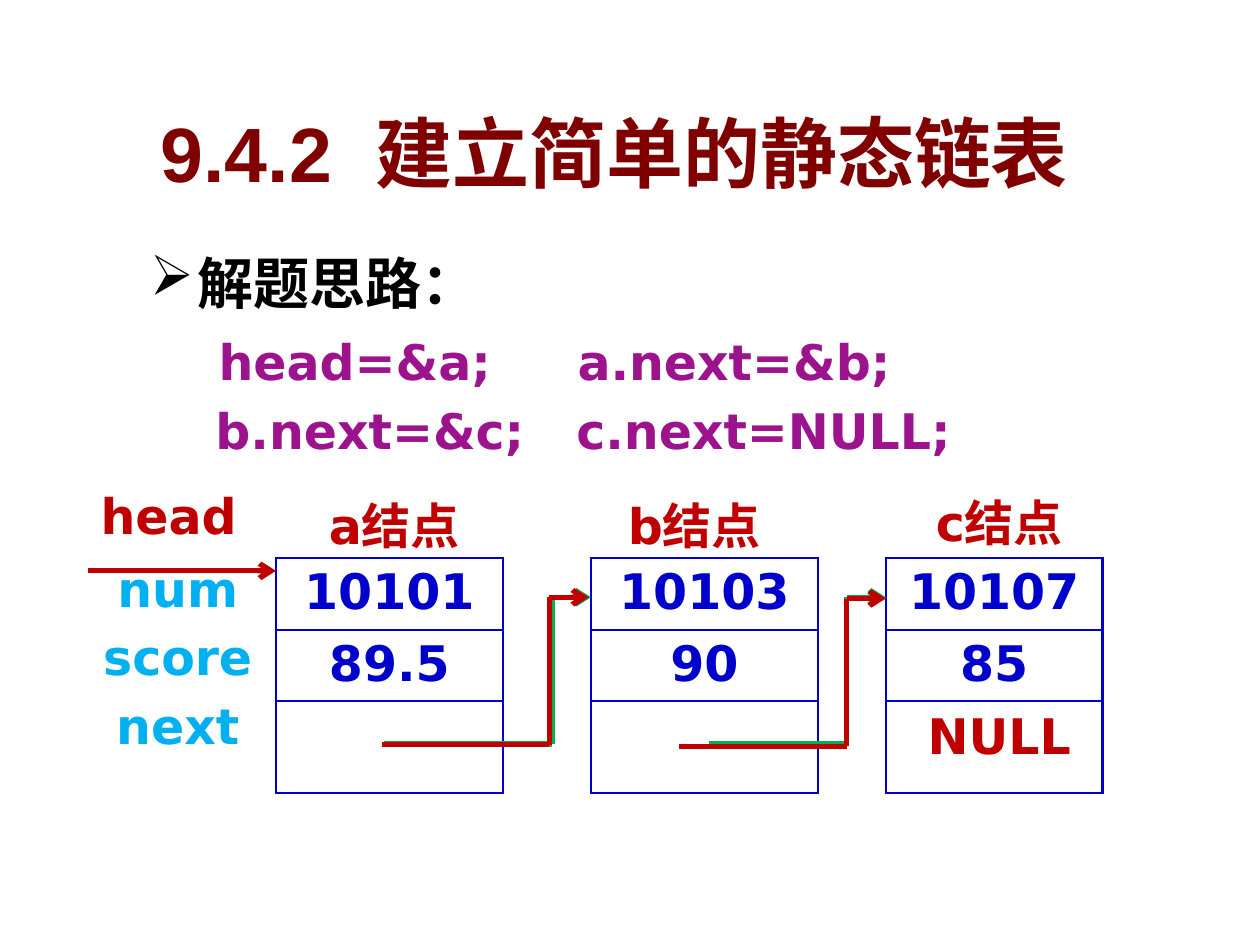
import pptx
import pptx.dml.color
import pptx.enum.shapes
import pptx.enum.text
import pptx.oxml
import pptx.oxml.ns
import pptx.util

Pt = pptx.util.Pt
RGB = pptx.dml.color.RGBColor
ALIGN = pptx.enum.text.PP_ALIGN
MAROON = RGB(0x80, 0x00, 0x00)
BLACK = RGB(0x00, 0x00, 0x00)
WHITE = RGB(0xFF, 0xFF, 0xFF)
BLUE = RGB(0x00, 0x00, 0xCC)
SKY = RGB(0x00, 0xB0, 0xF0)
RED = RGB(0xC0, 0x00, 0x00)
GREEN = RGB(0x00, 0xB0, 0x50)
PURPLE = RGB(0x9D, 0x13, 0x8D)
BODY_FONT = "DejaVu Sans"
ROW_HEIGHTS = (40.8, 40.8, 52.4)


def add_xml(parent, xml):
    ns = pptx.oxml.ns.nsdecls("a")
    el = pptx.oxml.parse_xml(xml.replace("/>", f" {ns}/>", 1) if xml.count("<") == 1
                             else xml.replace(">", f" {ns}>", 1))
    parent.append(el)


def format_text(tf, color, size=28, font=BODY_FONT, align=ALIGN.CENTER):
    for p in tf.paragraphs:
        p.alignment = align
        for r in p.runs:
            r.font.size = Pt(size)
            r.font.name = font
            r.font.bold = True
            r.font.color.rgb = color


def add_label(s, text, x, y, w, color, h=40.8, size=28, align=ALIGN.CENTER):
    tf = s.shapes.add_textbox(Pt(x), Pt(y), Pt(w), Pt(h)).text_frame
    tf.word_wrap = True
    tf.text = text
    format_text(tf, color, size, align=align)
    return tf


def add_line(s, x1, y1, x2, y2, color, arrow=False):
    line = s.shapes.add_connector(pptx.enum.shapes.MSO_CONNECTOR.STRAIGHT,
                                  Pt(x1), Pt(y1), Pt(x2), Pt(y2))
    line.line.color.rgb = color
    line.line.width = Pt(3)
    if arrow:
        add_xml(line.line._get_or_add_ln(), '<a:tailEnd type="arrow"/>')
    add_xml(line._element.spPr, "<a:effectLst/>")


def add_link(s, x, elbow, x_end, y, y_end, color):
    add_line(s, elbow, y_end, x_end, y_end, color, arrow=True)
    add_line(s, x, y, elbow, y, color)
    add_line(s, elbow, y, elbow, y_end, color)


def set_title(s, x, y, w, h):
    title = s.shapes.title
    title.left, title.top, title.width, title.height = Pt(x), Pt(y), Pt(w), Pt(h)
    tf = title.text_frame
    tf.text = "9.4.2  建立简单的静态链表"
    tf.vertical_anchor = pptx.enum.text.MSO_ANCHOR.MIDDLE
    format_text(tf, MAROON, 44, "Arial")
    rpr = tf.paragraphs[0].runs[0].font._element
    shadow = pptx.oxml.parse_xml(
        f'<a:effectLst {pptx.oxml.ns.nsdecls("a")}><a:outerShdw blurRad="38100" dist="38100" '
        'dir="2700000"><a:srgbClr val="C0C0C0"/></a:outerShdw></a:effectLst>')
    rpr.find(pptx.oxml.ns.qn("a:solidFill")).addnext(shadow)


def add_heading(s, x, y, w, h):
    tf = add_label(s, "解题思路：", x, y, w, BLACK, h, 32, ALIGN.LEFT)
    p = tf.paragraphs[0]
    ppr = p._p.get_or_add_pPr()
    ppr.set("marL", str(Pt(27)))
    ppr.set("indent", str(-Pt(27)))
    add_xml(ppr, '<a:buClr><a:srgbClr val="000000"/></a:buClr>')
    add_xml(ppr, '<a:buChar char="➢"/>')
    p.line_spacing = 1.2


def add_code(s, x, y):
    row_gap = 39.6
    for text, dx, row, w in (("head=&a;", 0, 0, 219.6), ("a.next=&b;", 216.7, 0, 219.6),
                             ("b.next=&c;", 8.6, 1, 219.6), ("c.next=NULL;", 216.7, 1, 253.4)):
        add_label(s, text, x + dx, y + row * row_gap, w, PURPLE)


def add_field_names(s, x, y, w):
    for i, name in enumerate(("num", "score", "next")):
        add_label(s, name, x, y + i * 39.2, w, SKY)


def set_borders(cell):
    tcpr = cell._tc.get_or_add_tcPr()
    for i, side in enumerate(("lnL", "lnR", "lnT", "lnB")):
        ln = pptx.oxml.parse_xml(
            f'<a:{side} {pptx.oxml.ns.nsdecls("a")} w="{Pt(1.47)}">'
            f'<a:solidFill><a:srgbClr val="{BLUE}"/></a:solidFill></a:{side}>')
        tcpr.insert(i, ln)


def add_node(s, x, y, w, values):
    frame = s.shapes.add_table(3, 1, Pt(x), Pt(y), Pt(w), Pt(sum(ROW_HEIGHTS)))
    table = frame.table
    table.first_row = table.horz_banding = False
    for i, (value, height) in enumerate(zip(values, ROW_HEIGHTS)):
        table.rows[i].height = Pt(height)
        cell = table.cell(i, 0)
        cell.fill.solid()
        cell.fill.fore_color.rgb = WHITE
        set_borders(cell)
        if value:
            cell.text = value
            format_text(cell.text_frame, BLUE)


def add_list(s, x, y):
    nodes = (("a结点", 0, 129.6, ("10101", "89.5", ""), 163.4, 279.4, 123.8),
             ("b结点", 180, 129.6, ("10103", "90", ""), 337.7, 279.4, 118.1),
             ("c结点", 348.5, 123.8, ("10107", "85", ""), 517.7, 277.9, 106.6))
    for label, dx, w, values, label_x, label_y, label_w in nodes:
        add_node(s, x + dx, y, w, values)
        add_label(s, label, label_x, label_y, label_w, RED)
    add_label(s, "NULL", 517.7, 399.6, 106.6, RED)
    add_label(s, "head", 50.4, 273.6, 95.8, RED, align=ALIGN.LEFT)
    add_field_names(s, 45.4, 315.4, 112.3)
    add_line(s, 50.4, 326.2, x, 326.2, RED, arrow=True)
    add_link(s, 219.6, 315.4, 337.7, 425.2, 341.3, GREEN)
    add_link(s, 405.4, 483.8, 506.2, 425.2, 341.3, GREEN)
    add_link(s, 218.2, 313.9, 336.5, 425.5, 341.3, RED)
    add_link(s, 388.1, 483.8, 506.2, 426.4, 342, RED)


def main():
    prs = pptx.Presentation()
    prs.slide_width, prs.slide_height = Pt(720), Pt(540)
    s = prs.slides.add_slide(prs.slide_layouts[5])
    set_title(s, 22.3, 56.2, 658, 60.5)
    add_heading(s, 78.5, 131, 579.6, 88.6)
    add_code(s, 92.9, 185.8)
    add_list(s, 157.7, 319)
    prs.save("out.pptx")


if __name__ == "__main__":
    main()
